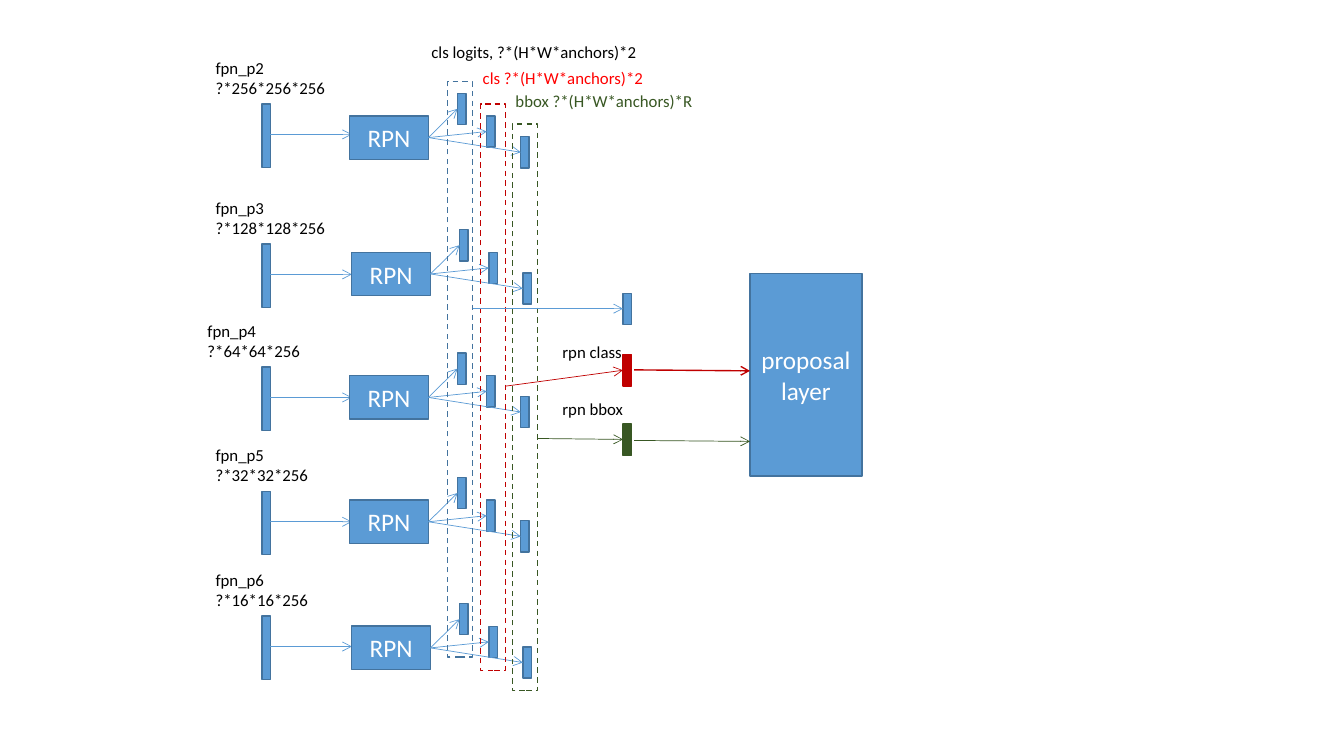
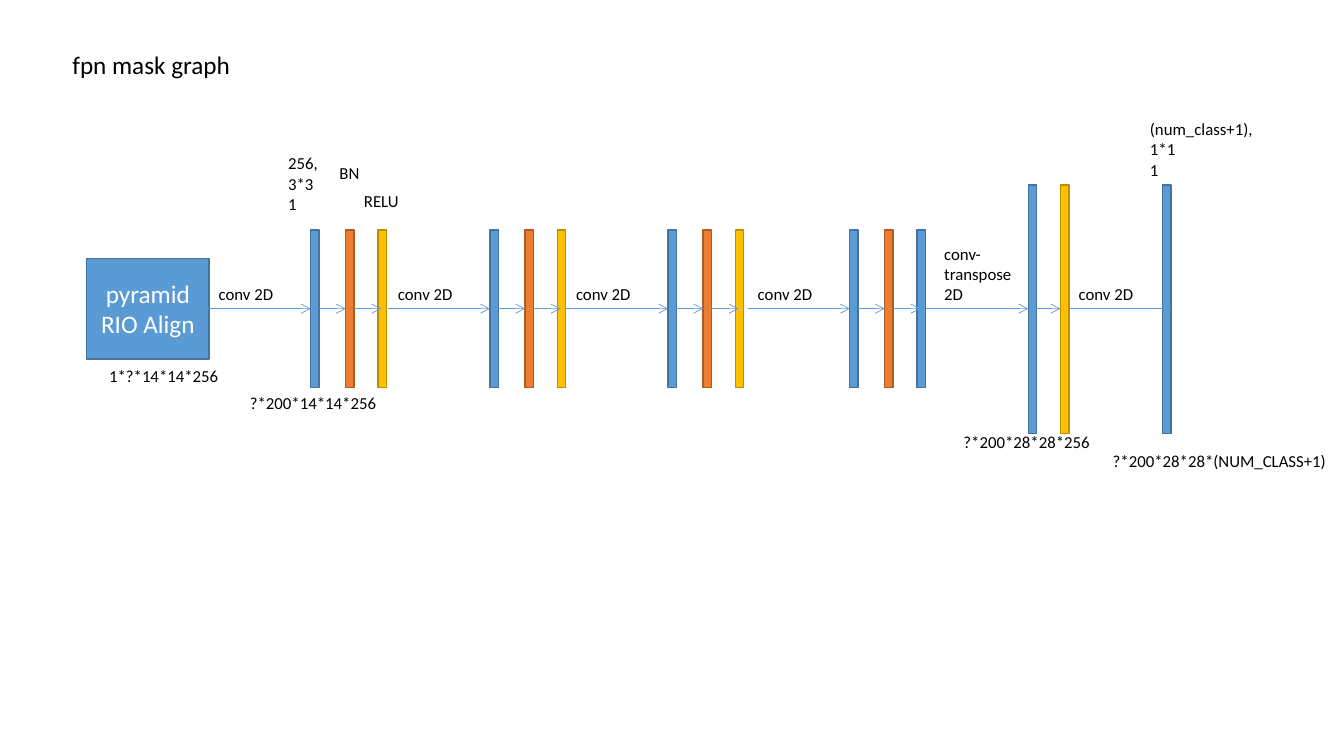
from collections import namedtuple

from lxml import etree
from pptx import Presentation
from pptx.dml.color import RGBColor
from pptx.enum.dml import MSO_LINE
from pptx.enum.shapes import MSO_CONNECTOR, MSO_SHAPE
from pptx.enum.text import MSO_ANCHOR, MSO_AUTO_SIZE, PP_ALIGN
from pptx.oxml.ns import qn
from pptx.util import Pt

RECTANGLE = MSO_SHAPE.RECTANGLE
STRAIGHT = MSO_CONNECTOR.STRAIGHT
DASH = MSO_LINE.DASH
MIDDLE = MSO_ANCHOR.MIDDLE
CENTER = PP_ALIGN.CENTER
GROW = MSO_AUTO_SIZE.SHAPE_TO_FIT_TEXT

Tone = namedtuple("Tone", "fill line")
Theme = namedtuple(
    "Theme", "font small large thin thick black white bright_red blue orange yellow red green")
theme = Theme(
    font="Calibri", small=12, large=18, thin=0.5, thick=1,
    black="000000", white="FFFFFF", bright_red="FF0000",
    blue=Tone("5B9BD5", "43739E"), orange=Tone("ED7D31", "AF5C24"),
    yellow=Tone("FFC000", "BD8E00"), red=Tone("C00000", "C00000"),
    green=Tone("385723", "385723"))


def put(slide, x, y, w, h, text="", tone=None, dashed=False, size=theme.small, color=theme.black):
    """Add a block when a tone is given, otherwise a plain label."""
    place = Pt(x), Pt(y), Pt(w), Pt(h)
    if tone:
        item = slide.shapes.add_shape(RECTANGLE, *place)
        item.shadow.inherit = False
        item.line.color.rgb = RGBColor.from_string(tone.line)
        item.line.width = Pt(theme.thick)
        if dashed:
            item.fill.background()
            item.line.dash_style = DASH
        else:
            item.fill.solid()
            item.fill.fore_color.rgb = RGBColor.from_string(tone.fill)
        size, color = theme.large, theme.white
    else:
        item = slide.shapes.add_textbox(*place)
    if not text:
        return
    frame = item.text_frame
    frame.word_wrap = True
    frame.text = text
    if tone:
        frame.vertical_anchor = MIDDLE
    else:
        frame.auto_size = GROW
    for paragraph in frame.paragraphs:
        if tone:
            paragraph.alignment = CENTER
        paragraph.font.name = theme.font
        paragraph.font.size = Pt(size)
        paragraph.font.color.rgb = RGBColor.from_string(color)


def arrow(slide, x1, y1, x2, y2, tone=theme.blue, width=theme.thin):
    link = slide.shapes.add_connector(STRAIGHT, Pt(x1), Pt(y1), Pt(x2), Pt(y2))
    link.line.color.rgb = RGBColor.from_string(tone.fill)
    link.line.width = Pt(width)
    properties = link.element.spPr
    etree.SubElement(properties.find(qn("a:ln")), qn("a:tailEnd"), type="arrow")
    etree.SubElement(properties, qn("a:effectLst"))


deck = Presentation()
deck.slide_width, deck.slide_height = Pt(960), Pt(540)
blank = deck.slide_layouts[6]
BAR = 6

# Slide 1: region proposal network
rpn_slide = deck.slides.add_slide(blank)
map_x, map_h = 187.2, 45.4
rpn_w, rpn_h, output_h = 56.2, 31, 22.3

# Feature levels: name, side, label x, feature map y, RPN x, RPN y
levels = [
    ("p2", 256, 146.9, 74.2, 249.8, 82.8),
    ("p3", 128, 146.9, 174.2, 251.3, 180.2),
    ("p4", 64, 141.1, 262.1, 249.8, 268.4),
    ("p5", 32, 146.9, 350.9, 249.8, 357.2),
    ("p6", 16, 146.9, 440, 251.3, 447.3),
]
outputs = [(77, -16.2), (97.9, 0), (122.2, 14.8)]
for name, side, label_x, map_y, rpn_x, rpn_y in levels:
    put(rpn_slide, map_x, map_y, BAR, map_h, tone=theme.blue)
    put(rpn_slide, label_x, map_y - 36.6, 96, 36, f"fpn_{name}\n?*{side}*{side}*256")
    arrow(rpn_slide, map_x + BAR, map_y + 21.8, 251.3, map_y + 21.8)
    put(rpn_slide, rpn_x, rpn_y, rpn_w, rpn_h, "RPN", theme.blue)
    for dx, dy in outputs:
        put(rpn_slide, rpn_x + dx, rpn_y + dy, BAR, output_h, tone=theme.blue)
    for dx, dy in outputs:
        arrow(rpn_slide, rpn_x + rpn_w, rpn_y + rpn_h / 2,
              rpn_x + dx, rpn_y + dy + output_h / 2)

# Output groups across all levels
for x, y, h, tone in [(319.7, 58.4, 411, theme.blue),
                      (343.3, 74.2, 404.6, theme.red),
                      (366, 88.7, 404.6, theme.green)]:
    put(rpn_slide, x, y, 18, h, tone=tone, dashed=True)
for x, y, w, text, color in [
        (301, 25.9, 204, "cls logits, ?*(H*W*anchors)*2", theme.black),
        (337.7, 44.6, 204, "cls ?*(H*W*anchors)*2", theme.bright_red),
        (361.1, 61.2, 171, "bbox ?*(H*W*anchors)*R", theme.green.fill)]:
    put(rpn_slide, x, y, w, 21.8, text, color=color)

# Merged outputs feeding the proposal layer
merged_x, proposal_x = 445, 535.7
for bar_y, start_x, start_y, end_y, tone in [
        (209.5, 337.7, 220.5, 220.5, theme.blue),
        (253.4, 361.4, 275.8, 264.5, theme.red),
        (303, 383.8, 313.2, 313.9, theme.green)]:
    put(rpn_slide, merged_x, bar_y, BAR, output_h, tone=tone)
    arrow(rpn_slide, start_x, start_y, merged_x, end_y, tone)
put(rpn_slide, proposal_x, 195.4, 80, 144.7, "proposal layer", theme.blue)
for y, tone, width in [(264.2, theme.red, theme.thick), (314.6, theme.green, theme.thin)]:
    arrow(rpn_slide, 452.9, y, proposal_x, y + 0.7, tone, width)
for y, text in [(240.5, "rpn class"), (281.5, "rpn bbox")]:
    put(rpn_slide, 394.6, y, 171, 21.8, text)

# Slide 2: mask graph
mask_slide = deck.slides.add_slide(blank)
flow_y, conv_reach = 220.5, 72.8
put(mask_slide, 44.6, 31.7, 140, 29, "fpn mask graph", size=theme.large)
put(mask_slide, 61.9, 184.5, 87.4, 72, "pyramid RIO Align", theme.blue)

# Convolution stages: convolution, normalisation, activation
for stage_x, activation in [(221.9, theme.yellow), (350, theme.yellow),
                            (477.2, theme.yellow), (607, theme.blue)]:
    for dx, tone in [(0, theme.blue), (25, theme.orange), (48.1, activation)]:
        put(mask_slide, stage_x + dx, 164.2, BAR, 112.8, tone=tone)
    put(mask_slide, stage_x - conv_reach, 199, 56, 21.8, "conv 2D")
    for start, end in [(-conv_reach, 0), (BAR, 25), (25 + BAR, 50.3)]:
        arrow(mask_slide, stage_x + start, flow_y, stage_x + end, flow_y)

# Upsampling and class output
for x, tone in [(734.5, theme.blue), (757.6, theme.yellow), (830.5, theme.blue)]:
    put(mask_slide, x, 132.2, BAR, 177.4, tone=tone)
for start, end in [(661.1, 734.4), (738, 757.4), (763.4, 836.5)]:
    arrow(mask_slide, start, flow_y, end, flow_y)

# Layer settings and tensor sizes
for x, y, w, h, text in [
        (667.4, 170.6, 67, 51, "conv-transpose 2D"),
        (763.4, 199, 56, 21.8, "conv 2D"),
        (198.7, 105.8, 54.7, 51, "256, 3*3\n1"),
        (235.4, 113, 34.6, 21.8, "BN"),
        (252.9, 132.5, 54.7, 21.8, "RELU"),
        (814.3, 81.4, 90.7, 51, "(num_class+1), 1*1\n1"),
        (70.8, 257.8, 132.5, 21.8, "1*?*14*14*256"),
        (171.4, 277.2, 132.5, 21.8, "?*200*14*14*256"),
        (681.1, 304.6, 132.5, 21.8, "?*200*28*28*256"),
        (787.7, 318.2, 170, 21.8, "?*200*28*28*(NUM_CLASS+1)")]:
    put(mask_slide, x, y, w, h, text)

deck.save("out.pptx")
